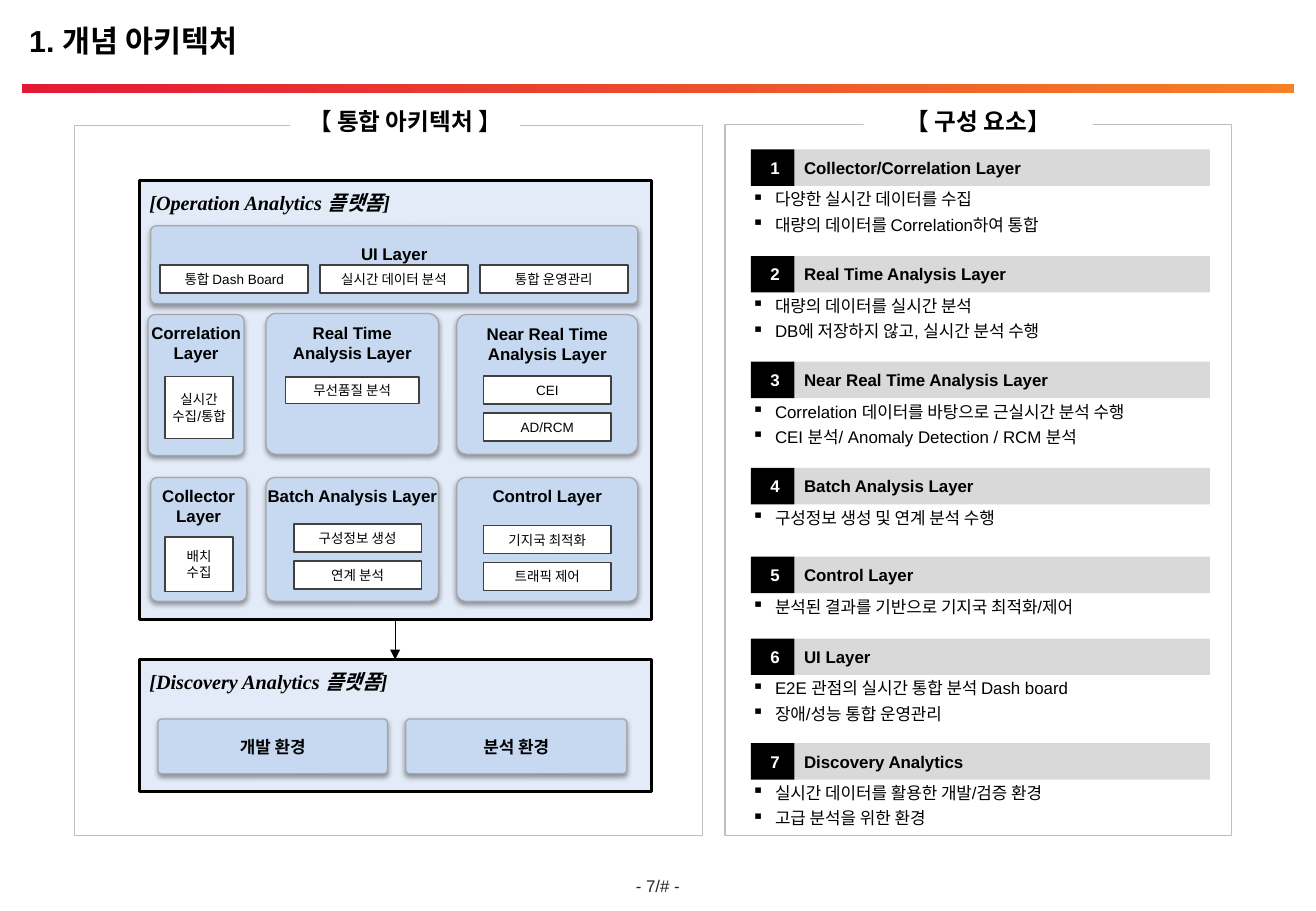
import dataclasses

import pptx
import pptx.dml.color
import pptx.enum.dml
import pptx.enum.shapes
import pptx.enum.text
import pptx.oxml
import pptx.oxml.ns
import pptx.util

Pt = pptx.util.Pt
Shape = pptx.enum.shapes.MSO_SHAPE
Align = pptx.enum.text.PP_ALIGN
Anchor = pptx.enum.text.MSO_ANCHOR
qn = pptx.oxml.ns.qn


@dataclasses.dataclass(frozen=True)
class Theme:
    black: str = "000000"
    white: str = "FFFFFF"
    blue: str = "C6D9F1"
    band: str = "D9D9D9"
    frame: str = "BFBFBF"
    edge: str = "A6A6A6"
    dark: str = "404040"
    foot: str = "262626"
    red: str = "E31936"
    orange: str = "F58025"
    sans: str = "Arial"
    serif: str = "Times New Roman"
    asian: str = "Noto Sans CJK KR"
    title: int = 18
    head: int = 14
    panel: int = 12
    body: int = 10
    small: int = 8


THEME = Theme()

LAYERS = [
    ((89.3, 133.9, 288.7, 46.1), "UI Layer", 1.5,
     (95, 157, 87.8, 16.6), (94.7, 0),
     ["통합 Dash Board", "실시간 데이터 분석", "통합 운영관리"]),
    ((87.8, 186.5, 56.9, 83.5), "Correlation\nLayer", 1,
     (97.9, 223.2, 40.3, 36.7), (0, 0), ["실시간\n수집/통합"]),
    ((157.7, 185.8, 102.2, 83.5), "Real Time\nAnalysis Layer", 1,
     (169.2, 223.5, 79.2, 15.8), (0, 0), ["무선품질 분석"]),
    ((270.7, 186.5, 107.3, 82.8), "Near Real Time\nAnalysis Layer", 1,
     (286.6, 223, 75.6, 16.6), (0, 21.8), ["CEI", "AD/RCM"]),
    ((89.3, 283, 56.9, 73.4), "Collector\nLayer", 1,
     (97.9, 318.2, 40.3, 32.4), (0, 0), ["배치\n수집"]),
    ((157.7, 283, 102.2, 73.4), "Batch Analysis Layer", 1,
     (174.2, 310.8, 75.6, 16.6), (0, 21.8), ["구성정보 생성", "연계 분석"]),
    ((270.7, 283, 107.3, 73.4), "Control Layer", 1,
     (286.6, 311.6, 75.6, 16.6), (0, 21.8), ["기지국 최적화", "트래픽 제어"]),
    ((93.6, 426.2, 136.1, 32.4), "개발 환경", 1.5, None, None, []),
    ((240.5, 426.2, 131, 32.4), "분석 환경", 1.5, None, None, []),
]

PARTS = [
    (88.6, "Collector/Correlation Layer",
     "다양한 실시간 데이터를 수집\n대량의 데이터를 Correlation하여 통합"),
    (151.8, "Real Time Analysis Layer",
     "대량의 데이터를 실시간 분석\nDB에 저장하지 않고, 실시간 분석 수행"),
    (214.4, "Near Real Time Analysis Layer",
     "Correlation 데이터를 바탕으로 근실시간 분석 수행\n"
     "CEI 분석/ Anomaly Detection / RCM 분석"),
    (277.4, "Batch Analysis Layer", "구성정보 생성 및 연계 분석 수행"),
    (330, "Control Layer", "분석된 결과를 기반으로 기지국 최적화/제어"),
    (378.5, "UI Layer",
     "E2E 관점의 실시간 통합 분석 Dash board\n장애/성능 통합 운영관리"),
    (440.6, "Discovery Analytics",
     "실시간 데이터를 활용한 개발/검증 환경\n고급 분석을 위한 환경"),
]


def tint(code):
    return pptx.dml.color.RGBColor.from_string(code)


def write(shape, text, size=THEME.body, font=THEME.sans, color=THEME.black,
          bold=False, slant=False, align=Align.LEFT, anchor=Anchor.TOP,
          pad=(0, 0, 0, 0), wrap=True, space=1, before=0, mark=None):
    frame = shape.text_frame
    frame.word_wrap = wrap
    frame.vertical_anchor = anchor
    (frame.margin_left, frame.margin_top,
     frame.margin_right, frame.margin_bottom) = map(Pt, pad)
    for row, line in enumerate(text.split("\n")):
        para = frame.add_paragraph() if row else frame.paragraphs[0]
        para.alignment = align
        para.line_spacing = space
        para.space_before = Pt(before)
        if mark:
            props = para._p.get_or_add_pPr()
            props.set("marL", str(Pt(13.7)))
            props.set("indent", str(-Pt(13.7)))
            pptx.oxml.ns.qn("a:buChar")
            props.append(make("buChar", char=mark))
        run = para.add_run()
        run.text = line
        run.font.size = Pt(size)
        run.font.bold = bold
        run.font.italic = slant
        run.font.color.rgb = tint(color)
        run.font.name = font
        run._r.get_or_add_rPr().append(make("ea", typeface=THEME.asian))


def make(tag, **attrs):
    node = pptx.oxml.parse_xml(
        f'<a:{tag} xmlns:a="http://schemas.openxmlformats.org/drawingml/2006/main"/>')
    for key, value in attrs.items():
        node.set(key, str(value))
    return node


def block(slide, area, fill, line=None, width=0.75, kind=Shape.RECTANGLE):
    shape = slide.shapes.add_shape(kind, *map(Pt, area))
    shape.shadow.inherit = False
    shape.fill.solid()
    shape.fill.fore_color.rgb = tint(fill)
    if line:
        shape.line.color.rgb = tint(line)
        shape.line.width = Pt(width)
    else:
        shape.line.fill.background()
    return shape


def label(slide, area, text, **style):
    write(slide.shapes.add_textbox(*map(Pt, area)), text, **style)


def head(slide, text):
    title = slide.shapes.title
    title.left, title.top, title.width, title.height = map(Pt, (10.1, 9.4, 759, 33))
    write(title, text, size=THEME.title, bold=True, pad=(7.2, 3.6, 7.2, 3.6))
    rule = block(slide, (13, 49.9, 754, 5.4), THEME.red)
    rule.fill.gradient()
    rule.fill.gradient_angle = 0
    for stop, code in zip(rule.fill.gradient_stops, (THEME.red, THEME.orange)):
        stop.color.rgb = tint(code)


def frame(slide, area, left, text):
    block(slide, area, THEME.white, THEME.frame)
    tab = block(slide, (left, 60.5, 136.1, 23), THEME.white)
    write(tab, text, size=THEME.head, font=THEME.asian, bold=True,
          align=Align.CENTER, anchor=Anchor.MIDDLE, pad=(2.8,) * 4)


def panel(slide, area, text):
    shape = block(slide, area, THEME.blue, THEME.black, 1.75)
    code = shape._element.spPr.find(qn("a:solidFill")).find(qn("a:srgbClr"))
    code.append(make("alpha", val=50000))
    write(shape, text, size=THEME.panel, font=THEME.serif, bold=True,
          slant=True, pad=(5.7,) * 4)


def layer(slide, area, text, space, slot, step, names):
    card = block(slide, area, THEME.blue, THEME.edge, kind=Shape.ROUNDED_RECTANGLE)
    card.adjustments[0] = 0.07
    shade = make("outerShdw", blurRad=Pt(3.1), dist=Pt(1.6), dir=5400000,
                 algn="t", rotWithShape=0)
    code = make("srgbClr", val=THEME.black)
    code.append(make("alpha", val=38000))
    shade.append(code)
    card._element.spPr.find(qn("a:effectLst")).append(shade)
    write(card, text, bold=True, align=Align.CENTER, wrap=False, space=space,
          pad=(7.2, 3.6, 7.2, 3.6))
    for num, name in enumerate(names):
        x, y, wide, high = slot
        item = block(slide, (x + num * step[0], y + num * step[1], wide, high),
                     THEME.white, THEME.dark, 1)
        write(item, name, size=THEME.small, align=Align.CENTER,
              anchor=Anchor.MIDDLE, pad=(0, 3.6, 0, 3.6))


def part(slide, num, top, name, notes):
    style = dict(bold=True, anchor=Anchor.MIDDLE, pad=(5.7, 2.8, 2.8, 2.8))
    write(block(slide, (470.9, top, 246.2, 21.6), THEME.band), name, **style)
    write(block(slide, (445, top, 25.9, 21.6), THEME.black), str(num),
          color=THEME.white, align=Align.CENTER, **style)
    label(slide, (445.7, top + 23.4, 270.7, 28), notes, before=3, mark="▪")


def arrow(slide, x, top, end):
    line = slide.shapes.add_connector(
        pptx.enum.shapes.MSO_CONNECTOR.STRAIGHT, *map(Pt, (x, top, x, end)))
    line.line.color.rgb = tint(THEME.black)
    line.line.width = Pt(0.75)
    line.line._get_or_add_ln().append(make("tailEnd", type="triangle"))
    line._element.spPr.append(make("effectLst"))


def main():
    deck = pptx.Presentation()
    deck.slide_width, deck.slide_height = Pt(780), Pt(540)
    slide = deck.slides.add_slide(deck.slide_layouts[5])
    head(slide, "1. 개념 아키텍처")
    frame(slide, (44, 74.4, 372.4, 421), 172.1, "【 통합 아키텍처 】")
    frame(slide, (429.8, 74, 300.2, 421.2), 511.9, "【 구성 요소】")
    panel(slide, (82.8, 107.1, 303.1, 260), "[Operation Analytics 플랫폼]")
    panel(slide, (82.8, 391, 303.1, 78), "[Discovery Analytics 플랫폼]")
    for item in LAYERS:
        layer(slide, *item)
    arrow(slide, 234.2, 367.2, 391)
    for num, item in enumerate(PARTS, 1):
        part(slide, num, *item)
    label(slide, (367.2, 519.1, 45.4, 11.5), "- 7/# -", color=THEME.foot,
          align=Align.CENTER, anchor=Anchor.MIDDLE, wrap=False)
    deck.save("out.pptx")


if __name__ == "__main__":
    main()
